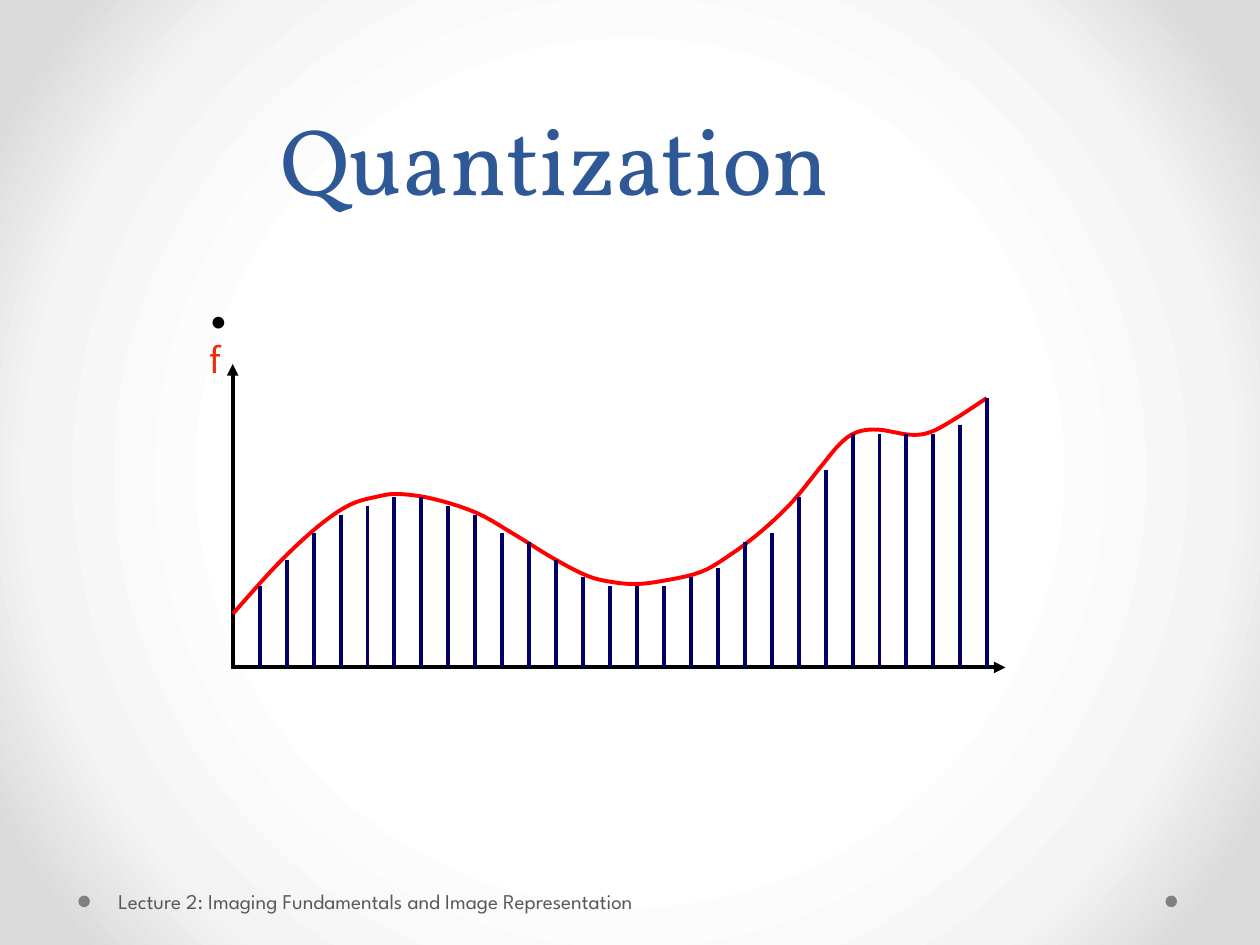
import lxml.etree
import pptx
import pptx.dml.color
import pptx.enum.shapes
import pptx.enum.text
import pptx.oxml.ns
import pptx.util

Pt = pptx.util.Pt
ALIGN = pptx.enum.text.PP_ALIGN
ANCHOR = pptx.enum.text.MSO_ANCHOR
qn = pptx.oxml.ns.qn

COLORS = {
    "title": "2F5897", "footer": "595959", "dot": "808080", "black": "000000",
    "label": "EE2B0A", "curve": "FF0000", "stem": "000066",
}
BACKGROUND = [(50, "FFFFFF"), (76, "F4F4F4"), (92, "DADADA")]
ORIGIN_X, BASE_Y = 133, 381.4
STEP_X, LEVEL_H = 15.4, 5.14
LEVELS = [9, 12, 15, 17, 18, 19, 19, 18, 17, 15, 14, 12, 10, 9,
          9, 9, 10, 11, 14, 15, 19, 22, 26, 26, 26, 26, 27, 30]
SIGNAL = [
    (133.2, 350.6), (158.4, 322.6), (180.7, 301.7), (199.4, 288.7), (216, 283.7),
    (228.2, 282.3), (247.7, 285.1), (272.2, 293), (293.8, 305.3), (316.1, 319),
    (335.5, 329), (349.9, 332.6), (363.6, 333.7), (378.7, 331.9), (400.3, 326.9),
    (417.6, 316.8), (435.6, 303.1), (452.9, 286.6), (468.7, 267.1), (480.2, 253.4),
    (489.6, 247), (501.8, 245.5), (519.8, 248.4), (531.4, 247), (545, 239.8),
    (563.8, 227.5),
]


def rgb(name):
    """Return the named colour."""
    return pptx.dml.color.RGBColor.from_string(COLORS[name])


def set_background(s):
    """Fill the slide with a circular gradient."""
    fill = s.background.fill
    fill.gradient()
    grad = s._element.find(".//" + qn("a:gradFill"))
    for child in list(grad):
        grad.remove(child)
    stops = lxml.etree.SubElement(grad, qn("a:gsLst"))
    for pos, color in BACKGROUND:
        stop = lxml.etree.SubElement(stops, qn("a:gs"), pos=str(pos * 1000))
        lxml.etree.SubElement(stop, qn("a:srgbClr"), val=color)
    shade = lxml.etree.SubElement(grad, qn("a:path"), path="circle")
    lxml.etree.SubElement(shade, qn("a:fillToRect"), l="50000", t="50000", r="50000", b="50000")


def add_box(s, x, y, w, h, margins=(0, 0, 0, 0), anchor=ANCHOR.TOP):
    """Add a wrapping text box and return its text frame."""
    tf = s.shapes.add_textbox(Pt(x), Pt(y), Pt(w), Pt(h)).text_frame
    tf.word_wrap = True
    tf.vertical_anchor = anchor
    tf.margin_left, tf.margin_top, tf.margin_right, tf.margin_bottom = map(Pt, margins)
    return tf


def write(p, text, font, size, color, align=ALIGN.LEFT, indent=None, spacing=None):
    """Write formatted text into a paragraph."""
    p.alignment = align
    if indent:
        pPr = p._p.get_or_add_pPr()
        pPr.set("marL", str(Pt(indent[0])))
        pPr.set("indent", str(Pt(indent[1])))
    if spacing:
        p.line_spacing = Pt(spacing)
    r = p.add_run()
    r.text = text
    r.font.name, r.font.size, r.font.color.rgb = font, Pt(size), rgb(color)
    for tag in ("a:ea", "a:cs"):
        lxml.etree.SubElement(r._r.get_or_add_rPr(), qn(tag), typeface=font)


def add_line(s, x1, y1, x2, y2, color, arrow=False):
    """Add a straight line, with an arrowhead at its end if asked."""
    sp = s.shapes.add_connector(
        pptx.enum.shapes.MSO_CONNECTOR.STRAIGHT, Pt(x1), Pt(y1), Pt(x2), Pt(y2))
    sp.line.width = Pt(2.25)
    sp.line.color.rgb = rgb(color)
    if arrow:
        lxml.etree.SubElement(sp.line._get_or_add_ln(), qn("a:tailEnd"), type="triangle")
    lxml.etree.SubElement(sp._element.spPr, qn("a:effectLst"))


def add_dot(s, x, y):
    """Add a small round footer mark."""
    sp = s.shapes.add_shape(
        pptx.enum.shapes.MSO_SHAPE.OVAL, Pt(x), Pt(y), Pt(6.6), Pt(6.6))
    sp.shadow.inherit = False
    sp.fill.solid()
    sp.fill.fore_color.rgb = rgb("dot")
    sp.line.fill.background()


def smooth(knots, parts=5):
    """Return points of a Catmull-Rom spline through the knots."""
    padded = [knots[0], *knots, knots[-1]]
    points = [knots[0]]
    for a, b, c, d in zip(padded, padded[1:], padded[2:], padded[3:]):
        for t in (i / parts for i in range(1, parts + 1)):
            points.append(tuple(
                (2 * q + (r - p) * t + (2 * p - 5 * q + 4 * r - u) * t ** 2
                 + (3 * q - p - 3 * r + u) * t ** 3) / 2
                for p, q, r, u in zip(a, b, c, d)))
    return points


def add_curve(s, knots, color):
    """Draw a smooth open curve through the knots."""
    points = [(Pt(x), Pt(y)) for x, y in smooth(knots)]
    builder = s.shapes.build_freeform(*points[0])
    builder.add_line_segments(points[1:], close=False)
    sp = builder.convert_to_shape()
    sp.shadow.inherit = False
    sp.fill.background()
    sp.line.color.rgb = rgb(color)
    sp.line.width = Pt(2.25)


def main():
    """Build the quantization slide."""
    prs = pptx.Presentation()
    prs.slide_width, prs.slide_height = Pt(720), Pt(540)
    s = prs.slides.add_slide(prs.slide_layouts[6])
    set_background(s)

    for x in (666, 44.8):
        add_dot(s, x, 511.8)
    tf = add_box(s, 64.1, 500.4, 401.8, 28.8, (3.6, 3.6, 7.2, 3.6), ANCHOR.MIDDLE)
    write(tf.paragraphs[0], "Lecture 2: Imaging Fundamentals and Image Representation",
          "League Spartan", 12, "footer")

    add_line(s, ORIGIN_X, BASE_Y, 574.6, BASE_Y, "black", arrow=True)
    add_line(s, ORIGIN_X, BASE_Y + 1, ORIGIN_X, 208, "black", arrow=True)
    add_curve(s, SIGNAL, "curve")
    for i, level in enumerate(LEVELS, 1):
        x = ORIGIN_X + i * STEP_X
        add_line(s, x, BASE_Y - level * LEVEL_H, x, BASE_Y, "stem")

    tf = add_box(s, 118.8, 172.1, 517, 46.1)
    write(tf.paragraphs[0], "•", "Lato", 18, "black", indent=(23.8, -23))
    write(tf.add_paragraph(), "f", "Noto Sans CJK TC", 20, "label", indent=(23.8, -23))

    tf = add_box(s, 46.1, 61.9, 523.4, 60.5, (0, 22.3, 0, 0), ANCHOR.BOTTOM)
    write(tf.paragraphs[0], "Quantization", "Vollkorn", 54, "title",
          align=ALIGN.CENTER, indent=(18.7, 0), spacing=32.1)

    prs.save("out.pptx")


if __name__ == "__main__":
    main()
